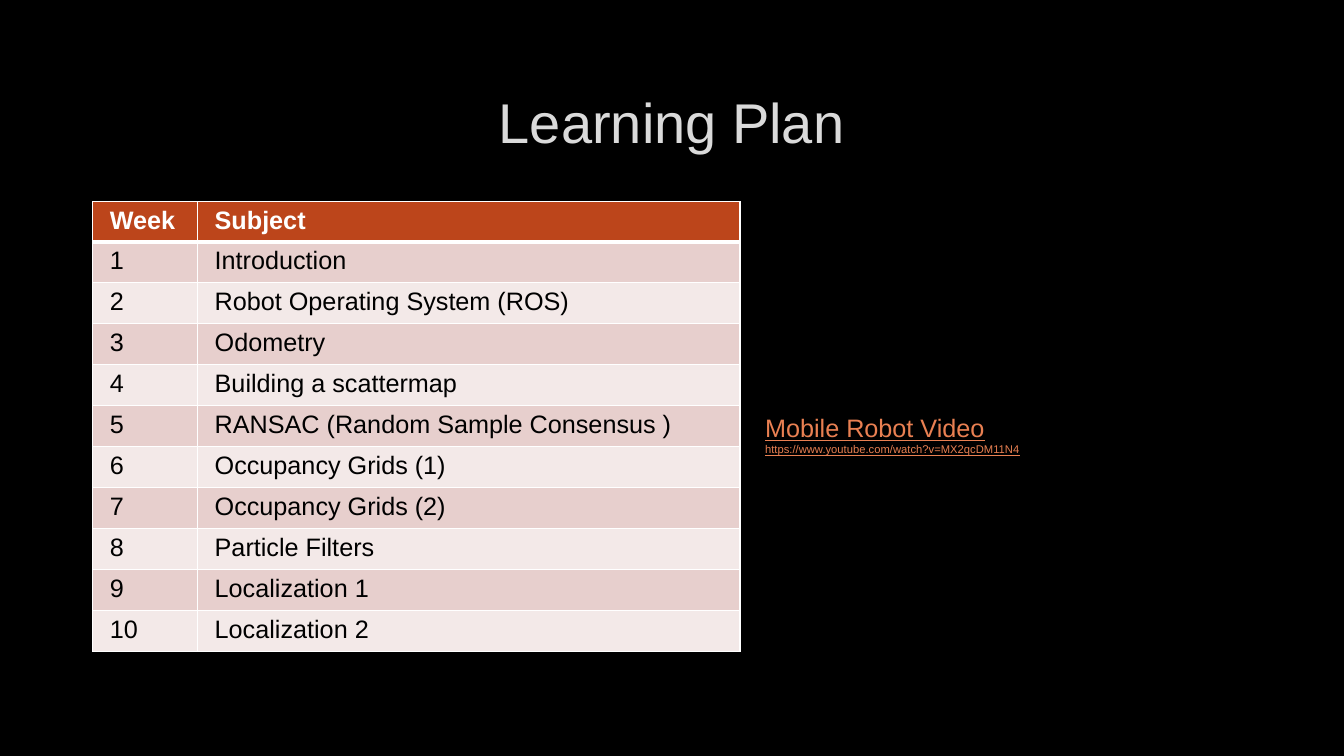
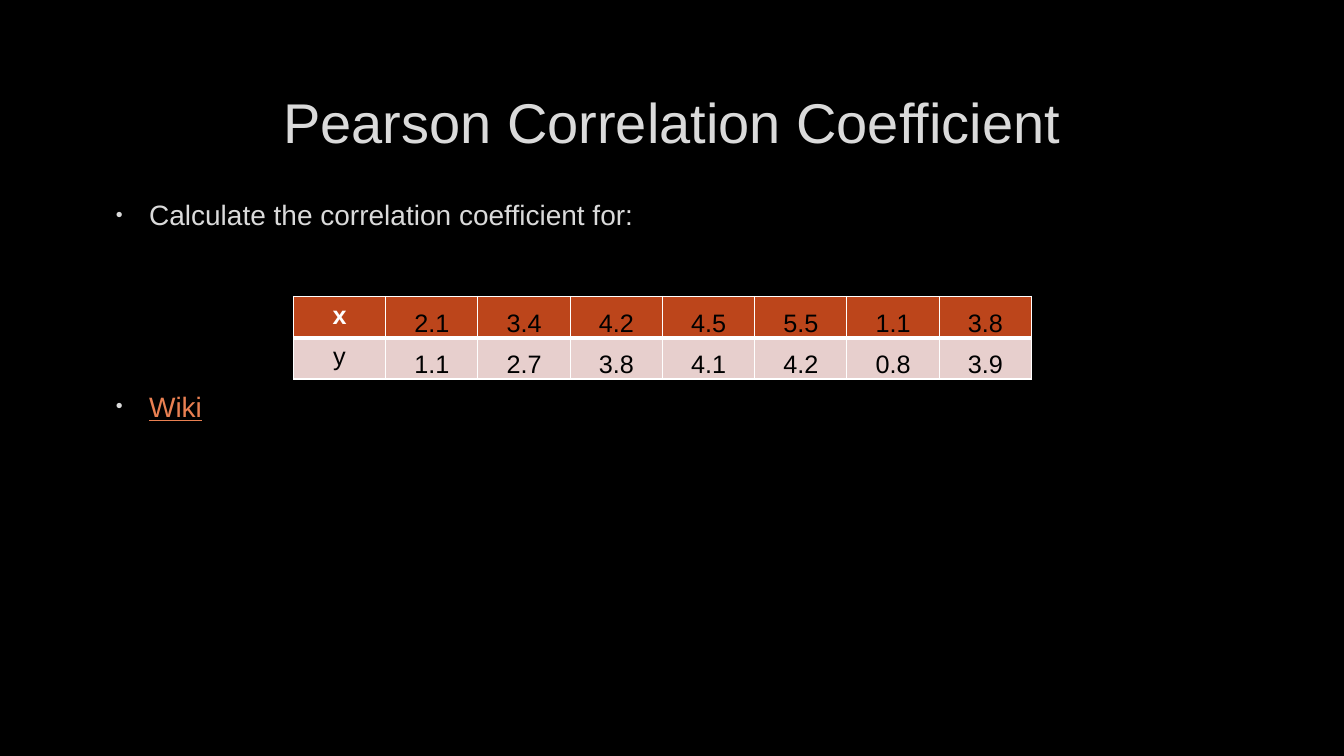
from lxml.etree import SubElement
from pptx import Presentation
from pptx.dml.color import RGBColor
from pptx.enum.text import MSO_ANCHOR, PP_ALIGN
from pptx.oxml.ns import qn
from pptx.util import Inches, Pt


def color(value):
    return RGBColor.from_string(value)


class SlideBuilder:
    FONT = "Arial"
    BACKGROUND = "000000"
    TEXT = "DADADA"
    LINK = "E98052"
    WHITE = "FFFFFF"
    BLACK = "000000"
    HEADER = "BC451B"
    BANDS = ("E7CFCD", "F3E9E8")

    def __init__(self):
        self.deck = Presentation()
        self.deck.slide_width = Inches(13.33)
        self.deck.slide_height = Inches(7.5)
        self.page = None

    def add_page(self, title):
        self.page = self.deck.slides.add_slide(self.deck.slide_layouts[6])
        background = self.page.background.fill
        background.solid()
        background.fore_color.rgb = color(self.BACKGROUND)
        frame = self.add_frame(1, 0.67, 11.32, 1.06)
        frame.vertical_anchor = MSO_ANCHOR.MIDDLE
        paragraph = frame.paragraphs[0]
        paragraph.alignment = PP_ALIGN.CENTER
        self.add_text(paragraph, title, 40, self.TEXT)

    def add_frame(self, left, top, width, height):
        box = self.page.shapes.add_textbox(
            Inches(left), Inches(top), Inches(width), Inches(height))
        box.text_frame.word_wrap = True
        return box.text_frame

    def add_text(self, paragraph, text, size, fill, bold=False, underline=False):
        paragraph.add_run().text = text
        font = paragraph.font
        font.name = self.FONT
        font.size = Pt(size)
        font.bold = bold
        font.underline = underline
        font.color.rgb = color(fill)

    def add_links(self, left, top, width, height, links):
        frame = self.add_frame(left, top, width, height)
        for index, (text, size) in enumerate(links):
            paragraph = frame.add_paragraph() if index else frame.paragraphs[0]
            self.add_text(paragraph, text, size, self.LINK, underline=True)

    def add_bullets(self, left, top, width, height, items, gap):
        frame = self.add_frame(left, top, width, height)
        for index, (text, is_link) in enumerate(items):
            paragraph = frame.add_paragraph() if index else frame.paragraphs[0]
            if index:
                paragraph.space_before = Pt(gap)
            self.set_bullet(paragraph)
            self.add_text(paragraph, text, 20, self.LINK if is_link else self.TEXT,
                          underline=is_link)

    def set_bullet(self, paragraph):
        properties = paragraph._p.get_or_add_pPr()
        properties.set("marL", str(Inches(0.38)))
        properties.set("indent", str(Inches(-0.33)))
        bullet_color = SubElement(properties, qn("a:buClr"))
        SubElement(bullet_color, qn("a:srgbClr"), val=self.TEXT)
        SubElement(properties, qn("a:buSzPct"), val="70000")
        SubElement(properties, qn("a:buFont"), typeface=self.FONT)
        SubElement(properties, qn("a:buChar"), char="•")

    def add_table(self, left, top, widths, header_height, row_height, rows):
        total_height = header_height + row_height * (len(rows) - 1)
        table = self.page.shapes.add_table(
            len(rows), len(widths), Inches(left), Inches(top),
            Inches(sum(widths)), Inches(total_height)).table
        table.first_row = False
        table.horz_banding = False
        for column, width in zip(table.columns, widths):
            column.width = Inches(width)
        for row_index, values in enumerate(rows):
            table.rows[row_index].height = Inches(
                row_height if row_index else header_height)
            for column_index, value in enumerate(values):
                cell = table.cell(row_index, column_index)
                self.set_borders(cell, row_index)
                cell.fill.solid()
                cell.fill.fore_color.rgb = color(
                    self.BANDS[(row_index - 1) % 2] if row_index else self.HEADER)
                is_heading = row_index == 0 and not value[0].isdigit()
                self.add_text(cell.text_frame.paragraphs[0], value, 18,
                              self.WHITE if is_heading else self.BLACK, is_heading)
        return table

    def set_borders(self, cell, row_index):
        properties = cell._tc.get_or_add_tcPr()
        thick_side = {0: "B", 1: "T"}.get(row_index)
        for side in "LRTB":
            width = Pt(3 if side == thick_side else 1)
            line = SubElement(properties, qn(f"a:ln{side}"), w=str(width))
            fill = SubElement(line, qn("a:solidFill"))
            SubElement(fill, qn("a:srgbClr"), val=self.WHITE)

    def set_side_margins(self, table, margin):
        for cell in table.iter_cells():
            cell.margin_left = cell.margin_right = Inches(margin)

    def center_values(self, table):
        for row in table.rows:
            for index, cell in enumerate(row.cells):
                cell.text_frame.paragraphs[0].alignment = PP_ALIGN.CENTER
                if index:
                    cell.vertical_anchor = MSO_ANCHOR.BOTTOM
                    cell.margin_left = cell.margin_right = 0
                    cell.margin_top = cell.margin_bottom = 0


def build_learning_plan(builder):
    builder.add_page("Learning Plan")
    subjects = [
        "Introduction",
        "Robot Operating System (ROS)",
        "Odometry",
        "Building a scattermap",
        "RANSAC (Random Sample Consensus )",
        "Occupancy Grids (1)",
        "Occupancy Grids (2)",
        "Particle Filters",
        "Localization 1",
        "Localization 2",
    ]
    weeks = [(str(week), subject) for week, subject in enumerate(subjects, 1)]
    table = builder.add_table(0.92, 2, [1.04, 5.38], 0.37, 4.06 / len(weeks),
                              [("Week", "Subject"), *weeks])
    builder.set_side_margins(table, 0.17)
    builder.add_links(7.49, 4.04, 2.97, 0.55, [
        ("Mobile Robot Video", 18),
        ("https://www.youtube.com/watch?v=MX2qcDM11N4", 8),
    ])


def build_correlation(builder):
    builder.add_page("Pearson Correlation Coefficient")
    builder.add_bullets(1, 1.91, 11.32, 4.44, [
        ("Calculate the correlation coefficient for:", False),
        ("Wiki", True),
    ], 113)
    samples = [
        ("x", "2.1", "3.4", "4.2", "4.5", "5.5", "1.1", "3.8"),
        ("y", "1.1", "2.7", "3.8", "4.1", "4.2", "0.8", "3.9"),
    ]
    columns = len(samples[0])
    table = builder.add_table(2.91, 2.94, [7.32 / columns] * columns,
                              0.41, 0.41, samples)
    builder.center_values(table)


def main():
    builder = SlideBuilder()
    build_learning_plan(builder)
    build_correlation(builder)
    builder.deck.save("out.pptx")


if __name__ == "__main__":
    main()
